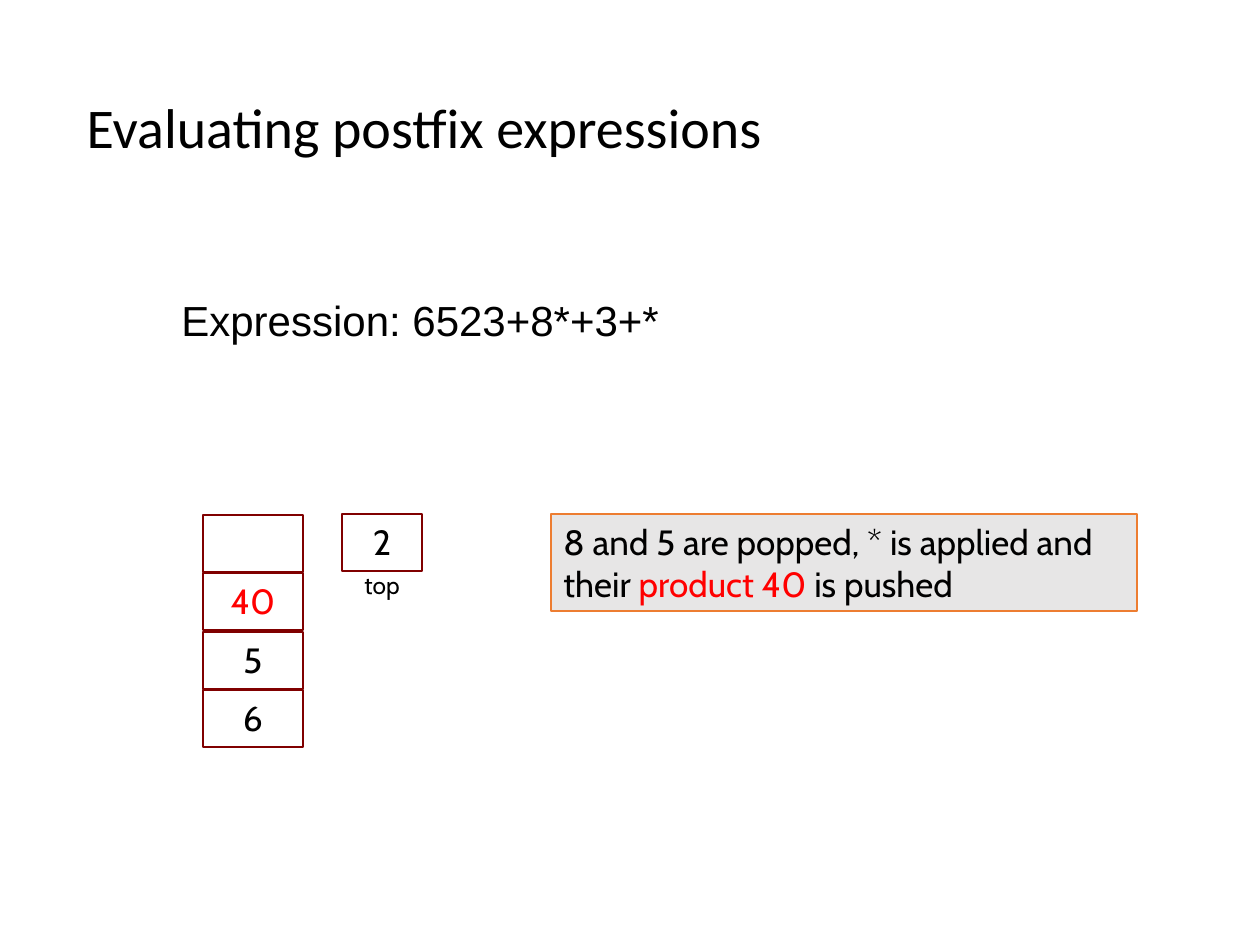
"""Build a slide showing one step of evaluating a postfix expression with a stack."""

from dataclasses import dataclass

import pptx
import pptx.dml.color
import pptx.enum.shapes
import pptx.enum.text
import pptx.util

EMU_PER_PX = 914400 / 126
BLACK, RED, MAROON = "000000", "FF0000", "800000"
GREY, ORANGE = "E7E6E6", "ED7D31"
ALIGN = pptx.enum.text.PP_ALIGN
ANCHOR = pptx.enum.text.MSO_ANCHOR


@dataclass(frozen=True)
class Area:
    left: int
    top: int
    width: int
    height: int


@dataclass(frozen=True)
class Cell:
    area: Area
    text: str
    color: str = BLACK


STACK_LEFT, STACK_TOP, STACK_HEIGHT = 203, 515, 234
STACK_VALUES = [("", BLACK), ("40", RED), ("5", BLACK), ("6", BLACK)]
CELLS = [
    Cell(Area(STACK_LEFT, STACK_TOP + i * STACK_HEIGHT // len(STACK_VALUES), 100, 57), text, color)
    for i, (text, color) in enumerate(STACK_VALUES)
] + [Cell(Area(342, 514, 80, 57), "2")]


def px(value: int) -> int:
    """Turn pixels into EMU."""
    return round(value * EMU_PER_PX)


def rgb(color: str) -> pptx.dml.color.RGBColor:
    """Turn a hex string into a colour."""
    return pptx.dml.color.RGBColor.from_string(color)


def bounds(area: Area) -> tuple[int, int, int, int]:
    """Give an area's left, top, width and height in EMU."""
    return px(area.left), px(area.top), px(area.width), px(area.height)


def write(shape, runs: list[tuple[str, str]], font: str, size: int,
          align=ALIGN.LEFT, anchor=ANCHOR.TOP, line_spacing: float = 1.0) -> None:
    """Write one paragraph of coloured runs into a shape."""
    frame = shape.text_frame
    frame.word_wrap = True
    frame.auto_size = pptx.enum.text.MSO_AUTO_SIZE.NONE
    frame.vertical_anchor = anchor
    paragraph = frame.paragraphs[0]
    paragraph.alignment = align
    paragraph.line_spacing = line_spacing
    paragraph.font.name = font
    paragraph.font.size = pptx.util.Pt(size)
    for text, color in runs:
        run = paragraph.add_run()
        run.text = text
        run.font.color.rgb = rgb(color)


def add_box(slide, area: Area, line: str, line_width: float, fill: str | None = None):
    """Add an outlined rectangle, filled if a colour is given."""
    shape = slide.shapes.add_shape(pptx.enum.shapes.MSO_SHAPE.RECTANGLE, *bounds(area))
    shape.shadow.inherit = False
    if fill:
        shape.fill.solid()
        shape.fill.fore_color.rgb = rgb(fill)
    else:
        shape.fill.background()
    shape.line.color.rgb = rgb(line)
    shape.line.width = pptx.util.Pt(line_width)
    return shape


def add_cell(slide, cell: Cell) -> None:
    """Add one stack cell with its value."""
    shape = add_box(slide, cell.area, MAROON, 1.5)
    if cell.text:
        write(shape, [(cell.text, cell.color)], "Cabin", 20, align=ALIGN.CENTER)


def add_label(slide, area: Area, text: str, font: str, size: int, line_spacing: float = 1.0) -> None:
    """Add a plain black text box."""
    write(slide.shapes.add_textbox(*bounds(area)), [(text, BLACK)], font, size, line_spacing=line_spacing)


def main() -> None:
    """Build and save the slide."""
    presentation = pptx.Presentation()
    presentation.slide_width, presentation.slide_height = px(1260), px(945)
    slide = presentation.slides.add_slide(presentation.slide_layouts[5])

    title = slide.shapes.title
    title.left, title.top, title.width, title.height = bounds(Area(74, 29, 1186, 202))
    write(title, [("Evaluating postfix expressions", BLACK)], "Calibri", 32,
          anchor=ANCHOR.MIDDLE, line_spacing=0.9)

    add_label(slide, Area(169, 294, 1091, 128), "Expression: 6523+8*+3+*", "Arial", 24, 0.9)
    note = add_box(slide, Area(551, 514, 586, 97), ORANGE, 0.75, GREY)
    write(note, [("8 and 5 are popped, * is applied and their ", BLACK),
                 ("product 40", RED), (" is pushed", BLACK)], "Cabin", 20)
    for cell in CELLS:
        add_cell(slide, cell)
    add_label(slide, Area(352, 564, 80, 42), "top", "Cabin", 14)

    presentation.save("out.pptx")


if __name__ == "__main__":
    main()
